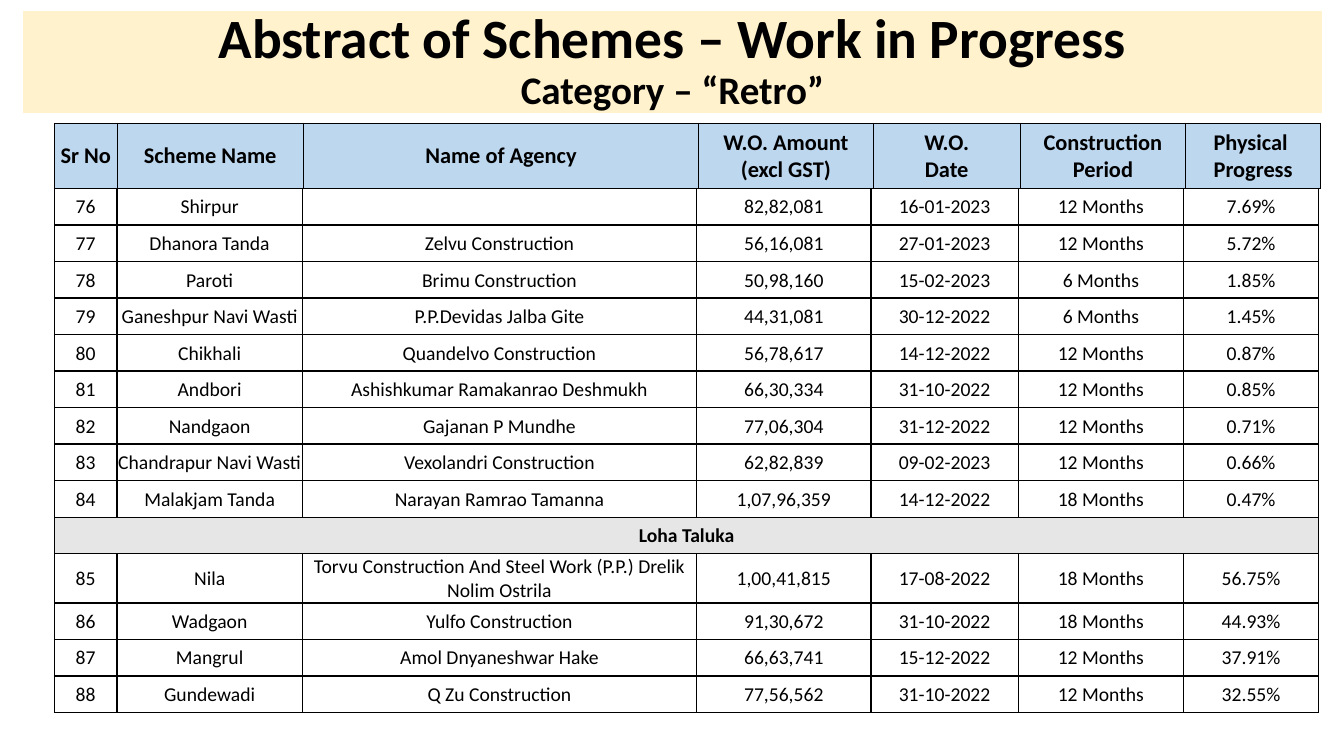
from dataclasses import dataclass

import pptx
import pptx.dml.color
import pptx.enum.text
import pptx.oxml
import pptx.oxml.ns
import pptx.util
from pptx.util import Inches


@dataclass(frozen=True)
class Theme:
    font: str = "Calibri"
    ink: str = "000000"
    banner: str = "FFF2CC"
    heading_fill: str = "BDD7EE"
    taluka_fill: str = "E7E6E6"
    title_size: float = 39.6
    category_size: float = 27.9
    heading_size: float = 16
    body_size: float = 14
    thin: float = 0.5
    thick: float = 1


THEME = Theme()
EDGES = ("lnL", "lnR", "lnT", "lnB")

HEADINGS = ["Sr No", "Scheme Name", "Name of Agency", "W.O. Amount\n(excl GST)",
            "W.O.\nDate", "Construction\nPeriod", "Physical \nProgress"]
HEADING_WIDTHS = [0.62, 1.85, 3.92, 1.73, 1.46, 1.64, 1.34]
SCHEME_WIDTHS = [0.62, 1.84, 3.91, 1.73, 1.46, 1.64, 1.34]
HEADING_HEIGHT = 0.65

# Serial numbers run on from FIRST_SERIAL; a one-item row is a taluka band.
FIRST_SERIAL = 76
SCHEMES = [
    ("Shirpur", "", "82,82,081", "16-01-2023", "12 Months", "7.69%"),
    ("Dhanora Tanda", "Zelvu Construction", "56,16,081", "27-01-2023", "12 Months", "5.72%"),
    ("Paroti", "Brimu Construction", "50,98,160", "15-02-2023", "6 Months", "1.85%"),
    ("Ganeshpur Navi Wasti", "P.P.Devidas Jalba Gite", "44,31,081", "30-12-2022", "6 Months", "1.45%"),
    ("Chikhali", "Quandelvo Construction", "56,78,617", "14-12-2022", "12 Months", "0.87%"),
    ("Andbori", "Ashishkumar Ramakanrao Deshmukh", "66,30,334", "31-10-2022", "12 Months", "0.85%"),
    ("Nandgaon", "Gajanan P Mundhe", "77,06,304", "31-12-2022", "12 Months", "0.71%"),
    ("Chandrapur Navi Wasti", "Vexolandri Construction", "62,82,839", "09-02-2023", "12 Months", "0.66%"),
    ("Malakjam Tanda", "Narayan Ramrao Tamanna", "1,07,96,359", "14-12-2022", "18 Months", "0.47%"),
    ("Loha Taluka",),
    ("Nila", "Torvu Construction And Steel Work (P.P.) Drelik Nolim Ostrila",
     "1,00,41,815", "17-08-2022", "18 Months", "56.75%"),
    ("Wadgaon", "Yulfo Construction", "91,30,672", "31-10-2022", "18 Months", "44.93%"),
    ("Mangrul", "Amol Dnyaneshwar Hake", "66,63,741", "15-12-2022", "12 Months", "37.91%"),
    ("Gundewadi", "Q Zu Construction", "77,56,562", "31-10-2022", "12 Months", "32.55%"),
]
SCHEMES_HEIGHT = 5.2
TWO_LINE_ROW = 10
TWO_LINE_HEIGHT = 0.49


def rgb(value):
    return pptx.dml.color.RGBColor.from_string(value)


def style_paragraph(paragraph, size, bold):
    paragraph.alignment = pptx.enum.text.PP_ALIGN.CENTER
    formats = {"name": THEME.font, "size": pptx.util.Pt(size), "bold": bold}
    for run in paragraph.runs:
        for attribute, value in formats.items():
            setattr(run.font, attribute, value)
        run.font.color.rgb = rgb(THEME.ink)


def add_borders(cell, weights):
    """Draw the cell's edges; weights follow the order of EDGES."""
    properties = cell._tc.get_or_add_tcPr()
    for edge, weight in zip(EDGES, weights):
        properties.append(pptx.oxml.parse_xml(
            f'<a:{edge} {pptx.oxml.ns.nsdecls("a")} w="{pptx.util.Pt(weight)}">'
            f'<a:solidFill><a:srgbClr val="{THEME.ink}"/></a:solidFill></a:{edge}>'))


def fill_cell(cell, text, size, bold, fill, weights):
    layout = {
        "margin_left": Inches(0.01), "margin_right": Inches(0.01),
        "margin_top": Inches(0.01), "margin_bottom": 0,
        "vertical_anchor": pptx.enum.text.MSO_ANCHOR.MIDDLE,
    }
    for attribute, value in layout.items():
        setattr(cell, attribute, value)
    cell.text_frame.text = text
    for paragraph in cell.text_frame.paragraphs:
        style_paragraph(paragraph, size, bold)
    add_borders(cell, weights)
    if fill:
        cell.fill.solid()
        cell.fill.fore_color.rgb = rgb(fill)
    else:
        cell.fill.background()


def add_plain_table(slide, top, widths, heights):
    table = slide.shapes.add_table(
        len(heights), len(widths), Inches(0.54), Inches(top),
        Inches(sum(widths)), Inches(sum(heights))).table
    table.first_row = table.horz_banding = False
    for column, width in zip(table.columns, widths):
        column.width = Inches(width)
    for row, height in zip(table.rows, heights):
        row.height = Inches(height)
    return table


def add_title(slide):
    banner = slide.shapes.add_textbox(Inches(0.23), Inches(0.11), Inches(12.88), Inches(1.01))
    banner.fill.solid()
    banner.fill.fore_color.rgb = rgb(THEME.banner)
    frame = banner.text_frame
    frame.word_wrap = True
    frame.vertical_anchor = pptx.enum.text.MSO_ANCHOR.MIDDLE
    frame.text = "Abstract of Schemes – Work in Progress\nCategory – “Retro”"
    for paragraph, size in zip(frame.paragraphs, (THEME.title_size, THEME.category_size)):
        paragraph.line_spacing = 0.9
        style_paragraph(paragraph, size, True)


def add_headings(slide):
    table = add_plain_table(slide, 1.22, HEADING_WIDTHS, [HEADING_HEIGHT])
    weights = (THEME.thin, THEME.thin, THEME.thin, THEME.thick)
    for cell, heading in zip(table.rows[0].cells, HEADINGS):
        fill_cell(cell, heading, THEME.heading_size, True, THEME.heading_fill, weights)


def add_schemes(slide):
    one_line_height = (SCHEMES_HEIGHT - TWO_LINE_HEIGHT) / (len(SCHEMES) - 1)
    heights = [one_line_height] * len(SCHEMES)
    heights[TWO_LINE_ROW] = TWO_LINE_HEIGHT
    table = add_plain_table(slide, 1.87, SCHEME_WIDTHS, heights)
    weights = [THEME.thick] * len(EDGES)
    serial = FIRST_SERIAL
    for index, scheme in enumerate(SCHEMES):
        is_taluka = len(scheme) == 1
        cells = list(table.rows[index].cells)
        if is_taluka:
            cells[0].merge(cells[-1])
            texts = scheme + ("",) * (len(cells) - 1)
        else:
            texts = (str(serial),) + scheme
            serial += 1
        fill = THEME.taluka_fill if is_taluka else None
        for cell, text in zip(cells, texts):
            fill_cell(cell, text, THEME.body_size, is_taluka, fill, weights)


def main():
    deck = pptx.Presentation()
    deck.slide_width, deck.slide_height = Inches(13.33), Inches(7.5)
    slide = deck.slides.add_slide(deck.slide_layouts[6])
    add_title(slide)
    add_headings(slide)
    add_schemes(slide)
    deck.save("out.pptx")


if __name__ == "__main__":
    main()
